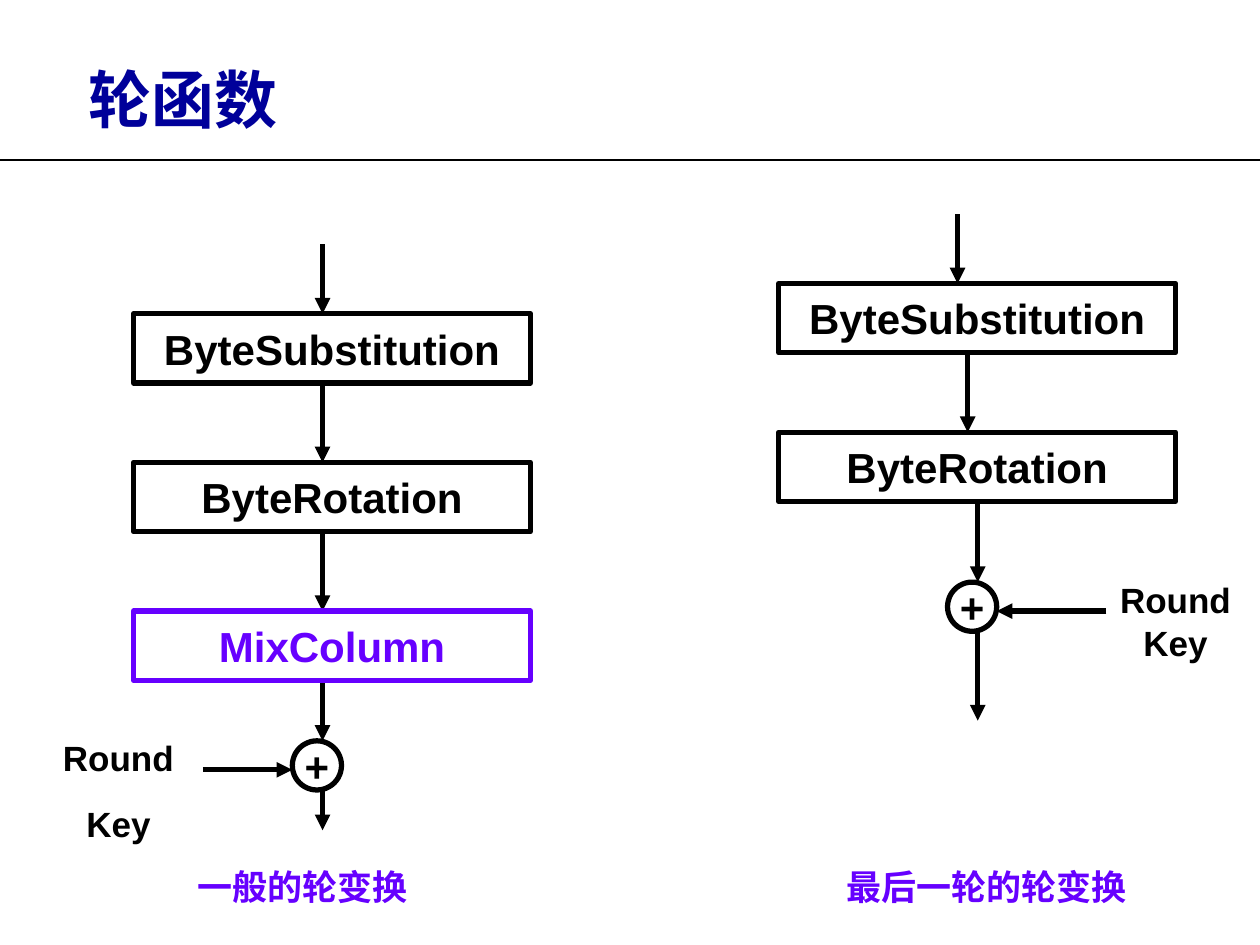
from lxml.etree import SubElement
from pptx import Presentation
from pptx.dml.color import RGBColor
from pptx.enum.shapes import MSO_CONNECTOR, MSO_SHAPE
from pptx.enum.text import MSO_ANCHOR, MSO_AUTO_SIZE, PP_ALIGN
from pptx.oxml.ns import qn
from pptx.util import Inches, Pt

BLACK, WHITE, NAVY, VIOLET = "000000", "FFFFFF", "00009A", "6600FF"
STEP_WIDTH, STEP_HEIGHT, STEP_PITCH = 3.15, 0.55, 1.18
CIRCLE_SIZE = 0.39


def color(value):
    return RGBColor.from_string(value)


def write_text(shape, text, size=24, text_color=BLACK, anchor=MSO_ANCHOR.MIDDLE,
               wrap=False, paragraph_gap=0):
    frame = shape.text_frame
    frame.text = text
    frame.word_wrap = wrap
    frame.auto_size = MSO_AUTO_SIZE.NONE
    frame.vertical_anchor = anchor
    for index, paragraph in enumerate(frame.paragraphs):
        paragraph.alignment = PP_ALIGN.CENTER
        if index:
            paragraph.space_before = Pt(paragraph_gap)
        font = paragraph.font
        font.name, font.size, font.bold = "Arial", Pt(size), True
        font.color.rgb = color(text_color)


def add_label(slide, text, left, top, width, height, **text_format):
    box = slide.shapes.add_textbox(Inches(left), Inches(top), Inches(width), Inches(height))
    write_text(box, text, anchor=MSO_ANCHOR.TOP, wrap=True, **text_format)


def add_node(slide, kind, text, left, top, width, height, ink=BLACK):
    """Add a white outlined shape whose line and text share one colour."""
    node = slide.shapes.add_shape(kind, Inches(left), Inches(top), Inches(width), Inches(height))
    node.shadow.inherit = False
    node.fill.solid()
    node.fill.fore_color.rgb = color(WHITE)
    node.line.color.rgb = color(ink)
    node.line.width = Pt(3)
    write_text(node, text, text_color=ink)


def add_line(slide, start, end, width=3, arrow=True):
    line = slide.shapes.add_connector(
        MSO_CONNECTOR.STRAIGHT, *(Inches(value) for value in (*start, *end)))
    line.line.color.rgb = color(BLACK)
    line.line.width = Pt(width)
    if arrow:
        SubElement(line.line._get_or_add_ln(), qn("a:tailEnd"), type="triangle")
    SubElement(line._element.spPr, qn("a:effectLst"))


def add_title(slide, text, left, top, width, height):
    title = slide.shapes.title
    title.left, title.top = Inches(left), Inches(top)
    title.width, title.height = Inches(width), Inches(height)
    write_text(title, text, size=36, text_color=NAVY, anchor=MSO_ANCHOR.TOP)
    add_line(slide, (0, 1.27), (10, 1.27), width=1.5, arrow=False)


def add_round(slide, left, top, steps, arrow_xs, circle_left, circle_top, exit_y, key_x):
    """Stack the steps, each fed by an arrow, and end in the key addition.

    arrow_xs holds the x of the arrow into each step and into the circle.
    """
    tops = [top + index * STEP_PITCH for index in range(len(steps))]
    starts = [top - STEP_HEIGHT] + [step_top + STEP_HEIGHT for step_top in tops]
    for x, start, end in zip(arrow_xs, starts, tops + [circle_top]):
        add_line(slide, (x, start), (x, end))
    for (text, ink), step_top in zip(steps, tops):
        add_node(slide, MSO_SHAPE.RECTANGLE, text, left, step_top, STEP_WIDTH, STEP_HEIGHT, ink)
    add_node(slide, MSO_SHAPE.OVAL, "+", circle_left, circle_top, CIRCLE_SIZE, CIRCLE_SIZE)
    add_line(slide, (arrow_xs[-1], circle_top + CIRCLE_SIZE), (arrow_xs[-1], exit_y))
    key_y = circle_top + 0.23
    circle_edge = circle_left if key_x < circle_left else circle_left + CIRCLE_SIZE
    add_line(slide, (key_x, key_y), (circle_edge, key_y))


def main():
    presentation = Presentation()
    presentation.slide_width, presentation.slide_height = Inches(10), Inches(7.5)
    slide = presentation.slides.add_slide(presentation.slide_layouts[5])
    add_title(slide, "轮函数", 0.35, 0.43, 2.2, 0.7)

    common_steps = [("ByteSubstitution", BLACK), ("ByteRotation", BLACK)]
    add_round(slide, 1.06, 2.49, common_steps + [("MixColumn", VIOLET)], [2.56] * 4,
              circle_left=2.32, circle_top=5.88, exit_y=6.59, key_x=1.61)
    add_label(slide, "Round\nKey", 0.27, 5.8, 1.34, 0.94, size=20, paragraph_gap=13.5)
    add_round(slide, 6.18, 2.25, common_steps, [7.6, 7.68, 7.76],
              circle_left=7.52, circle_top=4.62, exit_y=5.72, key_x=8.78)
    add_label(slide, "Round\nKey", 8.66, 4.54, 1.34, 0.77, size=20, paragraph_gap=1)

    for text, left in (("一般的轮变换", 0.59), ("最后一轮的轮变换", 6.02)):
        add_label(slide, text, left, 6.82, 3.62, 0.44, size=20, text_color=VIOLET)
    presentation.save("out.pptx")


if __name__ == "__main__":
    main()
